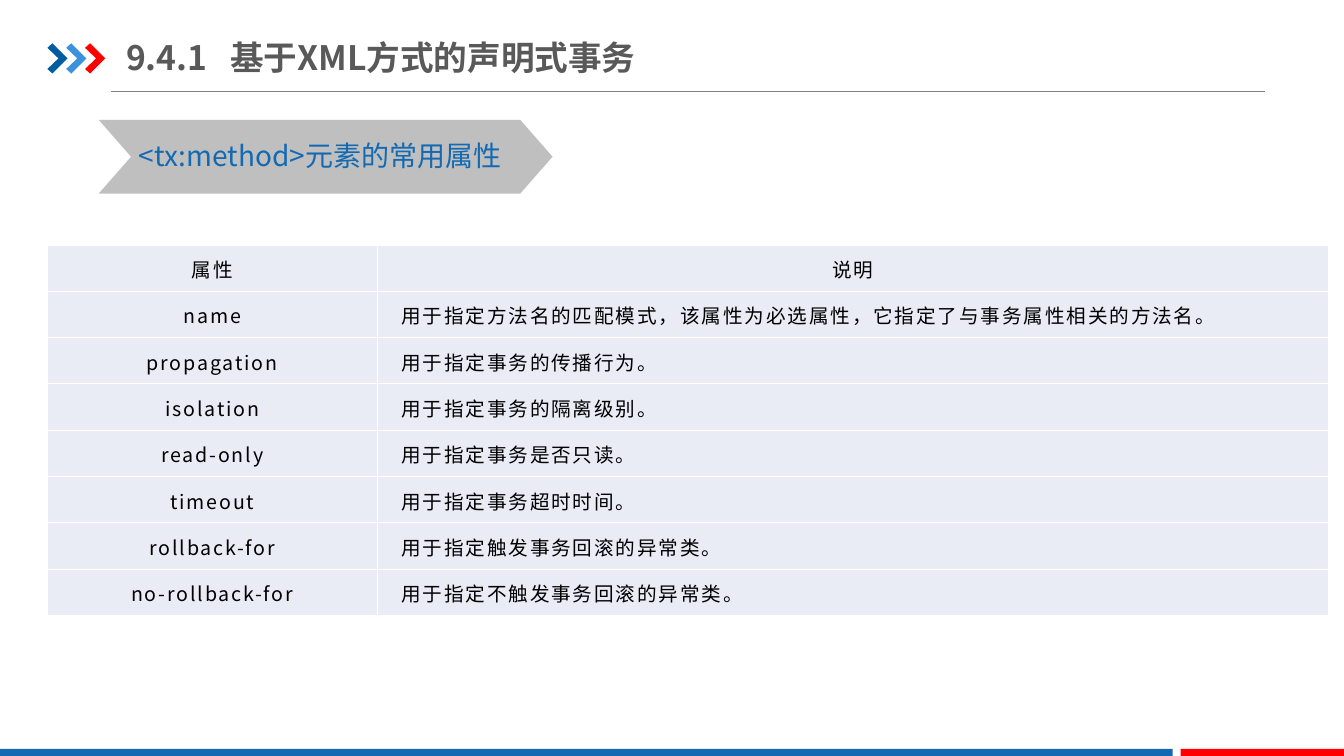
"""Build the slide on the common attributes of the <tx:method> element."""
from dataclasses import dataclass
from typing import Any, NamedTuple

from lxml import etree
from pptx import Presentation
from pptx import util as u
from pptx.dml.color import RGBColor
from pptx.enum import shapes, text
from pptx.oxml import ns


@dataclass(frozen=True)
class Theme:
    font: str = "Noto Sans CJK SC"
    blue: str = "1369B2"
    navy: str = "005DA2"
    sky: str = "3992DB"
    red: str = "FF0000"
    gray: str = "BFBFBF"
    rule: str = "808080"
    title: str = "595959"
    ink: str = "000000"
    cell: str = "E9EBF5"
    edge: str = "FFFFFF"
    big: float = 24
    mid: float = 20
    small: float = 14
    track: float = 1.3


class Box(NamedTuple):
    """Left, top, width and height in percent of the slide."""
    x: float
    y: float
    w: float
    h: float


class Block(NamedTuple):
    kind: Any
    box: Box
    fill: str


class Row(NamedTuple):
    name: str
    note: str


T = Theme()
WIDE, HIGH = u.Inches(13.33), u.Inches(7.5)
SHAPE = shapes.MSO_SHAPE
LEFT, MID = text.PP_ALIGN.LEFT, text.PP_ALIGN.CENTER

BLOCKS = [
    Block(SHAPE.RECTANGLE, Box(0, 99.07, 87.25, 0.93), T.blue),
    Block(SHAPE.RECTANGLE, Box(87.85, 99.07, 12.15, 0.93), T.red),
    Block(SHAPE.CHEVRON, Box(7.35, 15.87, 33.76, 9.73), T.gray),
]
ARROW = Box(3.53, 5.73, 1.5, 4)
STEP = 1.4
OUTLINE = [(0, 0.15), (0.25, 0), (1, 0.5), (0.25, 1), (0, 0.85), (0.55, 0.5)]
TITLE = Box(9.38, 3.87, 39.83, 7.33)
LABEL = Box(9.6, 17.73, 32.78, 5.87)
GRID = Box(3.53, 32.4, 95.35, 49.04)
COLS = (24.53, 70.82)
ROWS = [
    Row("属性", "说明"),
    Row("name", "用于指定方法名的匹配模式，该属性为必选属性，它指定了与事务属性相关的方法名。"),
    Row("propagation", "用于指定事务的传播行为。"),
    Row("isolation", "用于指定事务的隔离级别。"),
    Row("read-only", "用于指定事务是否只读。"),
    Row("timeout", "用于指定事务超时时间。"),
    Row("rollback-for", "用于指定触发事务回滚的异常类。"),
    Row("no-rollback-for", "用于指定不触发事务回滚的异常类。"),
]


def across(part: float) -> int:
    return round(WIDE * part / 100)


def down(part: float) -> int:
    return round(HIGH * part / 100)


def place(box: Box) -> tuple[int, int, int, int]:
    return across(box.x), down(box.y), across(box.w), down(box.h)


def tint(code: str) -> RGBColor:
    return RGBColor.from_string(code)


def sub(node: Any, tag: str, **attrs: str) -> Any:
    return etree.SubElement(node, ns.qn(tag), attrs)


def write(frame: Any, words: str, *, size: float, color: str, bold: bool = False,
          align: Any = LEFT, lead: float | None = None, track: float = 0,
          tab: float = 0) -> None:
    para = frame.paragraphs[0]
    para.alignment = align
    if lead:
        para.line_spacing = lead
    if tab:
        stops = sub(para._p.get_or_add_pPr(), "a:tabLst")
        sub(stops, "a:tab", pos=str(across(tab)), algn="l")
    run = para.add_run()
    run.text = words
    run.font.size = u.Pt(size)
    run.font.bold = bold
    run.font.name = T.font
    run.font.color.rgb = tint(color)
    props = run.font._element
    sub(props, "a:ea", typeface=T.font)
    if track:
        props.set("spc", str(round(track * 100)))


def paint(shape: Any, fill: str) -> None:
    shape.shadow.inherit = False
    shape.fill.solid()
    shape.fill.fore_color.rgb = tint(fill)
    shape.line.fill.background()


def draw_block(slide: Any, block: Block) -> None:
    shape = slide.shapes.add_shape(block.kind, *place(block.box))
    if block.kind == SHAPE.CHEVRON:
        shape.adjustments[0] = 0.438
    paint(shape, block.fill)


def draw_arrow(slide: Any, rank: int, fill: str) -> None:
    left, top, wide, high = place(ARROW._replace(x=ARROW.x + rank * STEP))
    spots = [(round(left + a * wide), round(top + b * high)) for a, b in OUTLINE]
    path = slide.shapes.build_freeform(*spots[0])
    path.add_line_segments(spots[1:], close=True)
    paint(path.convert_to_shape(), fill)


def draw_rule(slide: Any) -> None:
    line = slide.shapes.add_connector(shapes.MSO_CONNECTOR.STRAIGHT, across(8.25),
                                      down(12.13), across(94.15), down(12.13))
    line.line.color.rgb = tint(T.rule)
    line.line.width = u.Pt(0.5)
    sub(line._element.spPr, "a:effectLst")


def draw_head(slide: Any) -> None:
    frame = slide.shapes.add_textbox(*place(TITLE)).text_frame
    frame.word_wrap = True
    frame.vertical_anchor = text.MSO_ANCHOR.MIDDLE
    frame.margin_left = frame.margin_right = 0
    frame.margin_top = frame.margin_bottom = down(0.93)
    write(frame, "9.4.1\t基于XML方式的声明式事务", size=T.big, color=T.title,
          bold=True, tab=7.76)


def draw_label(slide: Any) -> None:
    frame = slide.shapes.add_textbox(*place(LABEL)).text_frame
    frame.word_wrap = False
    frame.auto_size = text.MSO_AUTO_SIZE.SHAPE_TO_FIT_TEXT
    write(frame, "<tx:method>元素的常用属性", size=T.mid, color=T.blue)


def dress(cell: Any) -> None:
    props = cell._tc.get_or_add_tcPr()
    for side in "LRTB":
        edge = sub(props, f"a:ln{side}", w=str(u.Pt(1)))
        sub(sub(edge, "a:solidFill"), "a:srgbClr", val=T.edge)
    cell.fill.solid()
    cell.fill.fore_color.rgb = tint(T.cell)
    cell.vertical_anchor = text.MSO_ANCHOR.MIDDLE
    cell.margin_left = cell.margin_right = across(1.8)
    cell.margin_top, cell.margin_bottom = 0, down(0.53)


def draw_table(slide: Any) -> None:
    table = slide.shapes.add_table(len(ROWS), len(COLS), *place(GRID)).table
    table.first_row = table.horz_banding = False
    for col, wide in zip(table.columns, COLS):
        col.width = across(wide)
    for i, row in enumerate(ROWS):
        table.rows[i].height = down(GRID.h / len(ROWS))
        for j, words in enumerate(row):
            cell = table.cell(i, j)
            dress(cell)
            write(cell.text_frame, words, size=T.small, color=T.ink, lead=1.2,
                  track=T.track, align=LEFT if i and j else MID)


def main() -> None:
    deck = Presentation()
    deck.slide_width, deck.slide_height = WIDE, HIGH
    slide = deck.slides.add_slide(deck.slide_layouts[6])
    draw_rule(slide)
    for rank, fill in enumerate((T.navy, T.sky, T.red)):
        draw_arrow(slide, rank, fill)
    for block in BLOCKS:
        draw_block(slide, block)
    draw_label(slide)
    draw_head(slide)
    draw_table(slide)
    deck.save("out.pptx")


if __name__ == "__main__":
    main()
